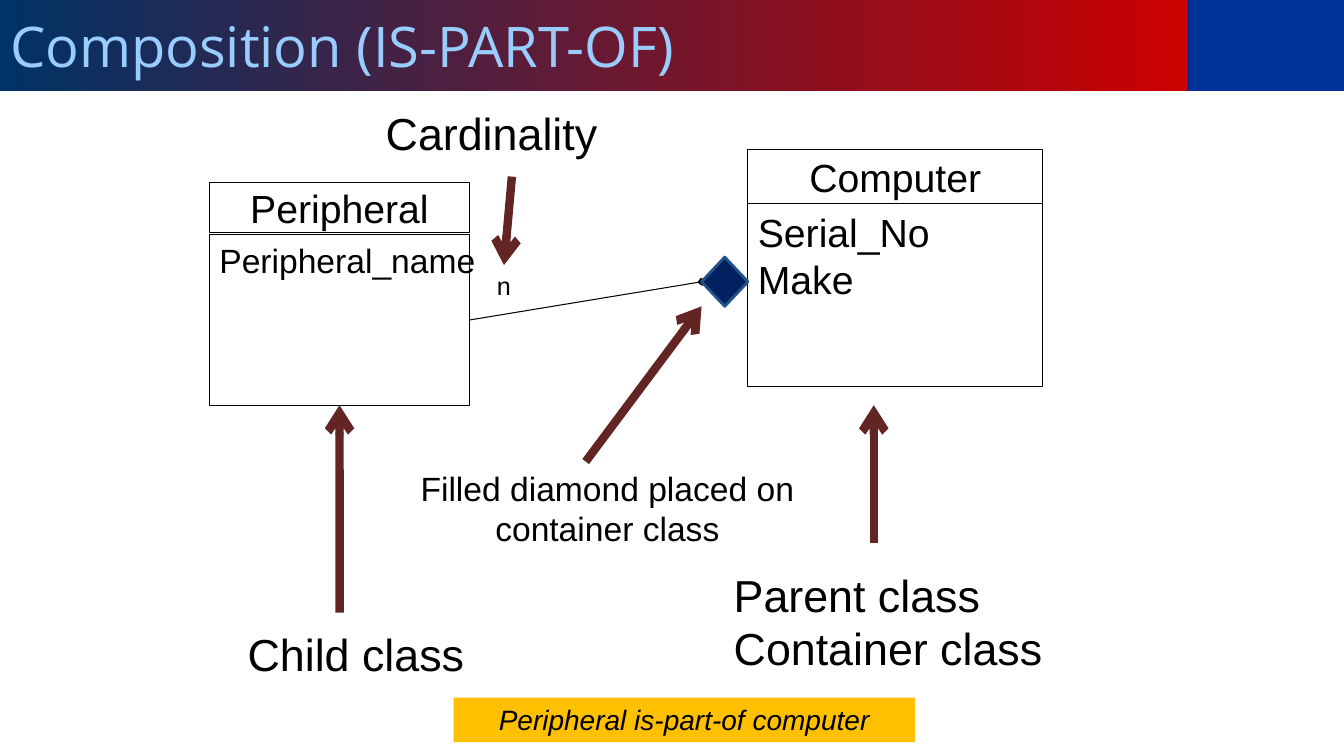
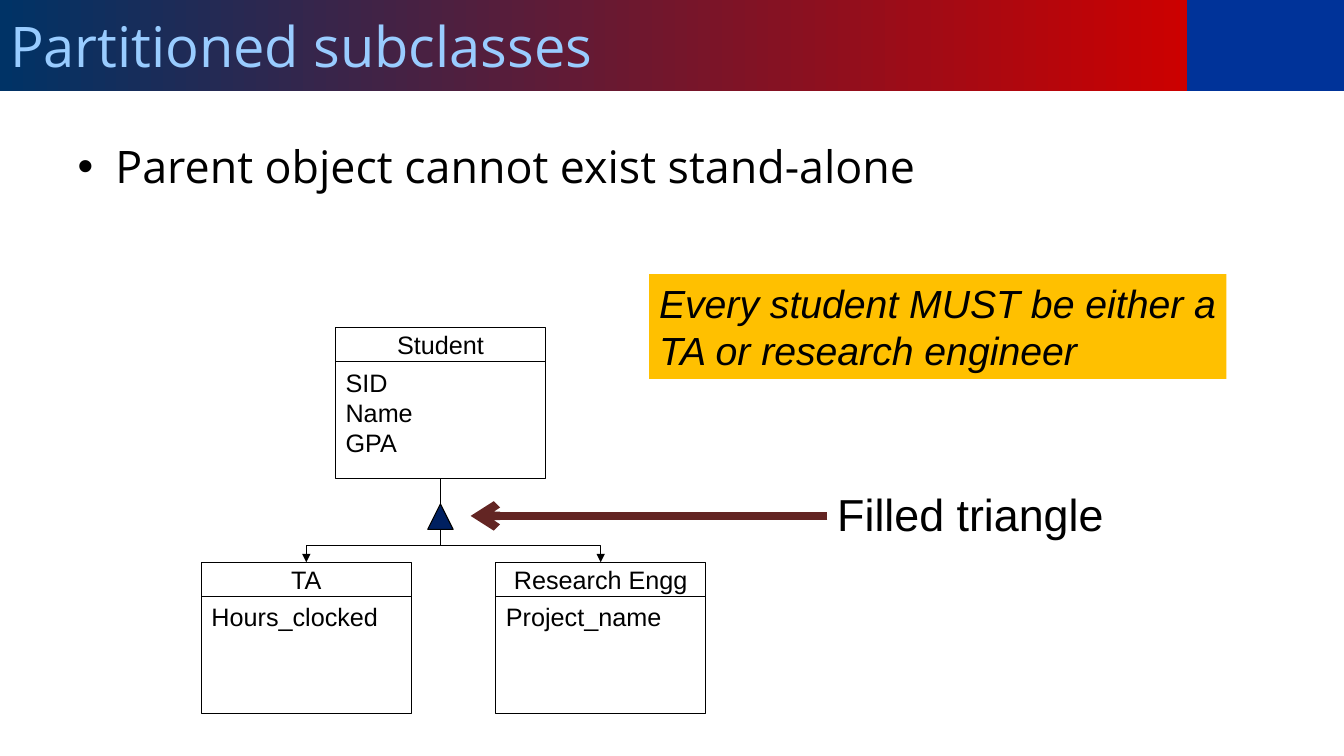
"""Build two slides on composition and partitioned subclasses in class diagrams."""
from pptx import Presentation
from pptx.dml.color import RGBColor
from pptx.enum.shapes import MSO_CONNECTOR as Link, MSO_SHAPE as Preset
from pptx.enum.text import MSO_ANCHOR as Anchor, MSO_AUTO_SIZE as AutoSize, PP_ALIGN as Align
from pptx.oxml.ns import qn
from pptx.util import Cm, Pt
from lxml.etree import SubElement

COLORS = {
    "ink": "000000",
    "paper": "FFFFFF",
    "title": "99CCFF",
    "band_start": "003366",
    "band_end": "CC0000",
    "corner": "003399",
    "marker": "002060",
    "marker_line": "23518B",
    "arrow": "632523",
    "highlight": "FFC000",
}
TITLE_FONT, LABEL_FONT = "Open Sans", "Arial"
PAGE_WIDTH, PAGE_HEIGHT = 33.87, 19.05
BAND_WIDTH, BAND_HEIGHT = 29.92, 2.29
TOP, LEFT, BOTTOM, RIGHT = range(4)


def color(name):
    return RGBColor.from_string(COLORS[name])


def place(shape, box):
    shape.left, shape.top, shape.width, shape.height = (Cm(length) for length in box)


def write(frame, lines, size, font=LABEL_FONT, ink="ink", align=Align.LEFT,
          anchor=Anchor.TOP, wrap=False, italic=None):
    frame.auto_size = AutoSize.NONE
    frame.word_wrap = wrap
    frame.vertical_anchor = anchor
    for number, line in enumerate(lines):
        para = frame.add_paragraph() if number else frame.paragraphs[0]
        para.alignment = align
        span = para.add_run()
        span.text = line
        span.font.name, span.font.size, span.font.italic = font, Pt(size), italic
        span.font.color.rgb = color(ink)


def add_block(page, preset, box, fill, line=None, weight=0.75):
    block = page.shapes.add_shape(preset, *(Cm(length) for length in box))
    block.shadow.inherit = False
    block.fill.solid()
    block.fill.fore_color.rgb = color(fill)
    if line:
        block.line.color.rgb = color(line)
        block.line.width = Pt(weight)
    else:
        block.line.fill.background()
    return block


def add_label(page, box, lines, size, **style):
    label = page.shapes.add_textbox(*(Cm(length) for length in box))
    write(label.text_frame, lines, size, **style)
    return label


def add_highlight(page, box, line, size, align=Align.LEFT):
    block = add_block(page, Preset.RECTANGLE, box, "highlight")
    write(block.text_frame, [line], size, align=align, wrap=True, italic=True)


def add_class_box(page, left, top, width, heights, name, attributes, sizes, gap=0):
    """Draw a class as a name part above an attribute part, and return the latter."""
    head_height, body_height = heights
    head_size, body_size = sizes
    head = add_block(page, Preset.RECTANGLE, (left, top, width, head_height), "paper", "ink")
    write(head.text_frame, [name], head_size, align=Align.CENTER, anchor=Anchor.MIDDLE)
    body_box = (left, top + head_height + gap, width, body_height)
    body = add_block(page, Preset.RECTANGLE, body_box, "paper", "ink")
    write(body.text_frame, attributes, body_size)
    return body


def style_line(connector, ink, weight, head=None, tail=None):
    connector.line.color.rgb = color(ink)
    connector.line.width = Pt(weight)
    outline = connector.get_or_add_ln()
    for tag, kind in (("a:headEnd", head), ("a:tailEnd", tail)):
        if kind:
            SubElement(outline, qn(tag)).set("type", kind)
    SubElement(connector.element.spPr, qn("a:effectLst"))


def add_line(page, start, end, start_joint=None, end_joint=None, ink="ink", weight=0.75,
             head=None, tail=None):
    """Draw a straight line between points, each replaced by its joint if there is one."""
    connector = page.shapes.add_connector(
        Link.STRAIGHT, *(Cm(length) for length in (*start, *end)))
    if start_joint:
        connector.begin_connect(*start_joint)
    if end_joint:
        connector.end_connect(*end_joint)
    style_line(connector, ink, weight, head, tail)


def add_arrow(page, start, end, **joints):
    add_line(page, start, end, ink="arrow", weight=6, tail="arrow", **joints)


def add_branch(page, start, end):
    """Draw an elbow that leaves downwards, as a turned horizontal elbow."""
    (start_x, start_y), (end_x, end_y) = start, end
    drop, reach = end_y - start_y, abs(end_x - start_x)
    middle_x, middle_y = (start_x + end_x) / 2, (start_y + end_y) / 2
    rightward = end_x > start_x
    half = drop / 2 if rightward else -drop / 2
    connector = page.shapes.add_connector(
        Link.ELBOW, Cm(middle_x + half), Cm(middle_y - reach / 2),
        Cm(middle_x - half), Cm(middle_y + reach / 2))
    turn = 270 if rightward else 90
    connector.element.spPr.find(qn("a:xfrm")).set("rot", str(turn * 60000))
    style_line(connector, "ink", 0.75, tail="triangle")


def add_page(deck, layout, heading):
    page = deck.slides.add_slide(deck.slide_layouts[layout])
    title = page.shapes.title
    place(title, (0, 0, BAND_WIDTH, BAND_HEIGHT))
    title.fill.gradient()
    title.fill.gradient_angle = 0
    for stop, position, name in zip(title.fill.gradient_stops, (0, 1), ("band_start", "band_end")):
        stop.position = position
        stop.color.rgb = color(name)
    write(title.text_frame, [heading], 40, TITLE_FONT, "title", anchor=Anchor.MIDDLE, wrap=True)
    return page


def add_corner_to_master(deck, page):
    """Put the blue corner of the title band on the slide master."""
    box = (BAND_WIDTH, 0, PAGE_WIDTH - BAND_WIDTH, BAND_HEIGHT)
    corner = add_block(page, Preset.RECTANGLE, box, "corner")
    deck.slide_master.shapes.element.append(corner.element)


def draw_composition(page):
    add_class_box(page, 18.85, 3.76, 7.42, (1.37, 4.62), "Computer",
                  ["Serial_No", "Make"], (28, 28))
    peripheral = add_class_box(page, 5.28, 4.6, 6.55, (1.27, 4.29), "Peripheral",
                               ["Peripheral_name"], (28, 24), gap=0.05)
    diamond = add_block(page, Preset.DIAMOND, (17.68, 6.48, 1.17, 1.24),
                        "marker", "marker_line", 2)
    add_line(page, (17.68, 7.1), (11.83, 8.07), (diamond, LEFT), (peripheral, RIGHT),
             head="diamond")
    page.shapes.element.append(diamond.element)

    count = add_label(page, (12.27, 6.68, 0.86, 1.02), ["n"], 18)
    add_label(page, (9.47, 2.54, 5.89, 1.63), ["Cardinality"], 32)
    add_label(page, (5.99, 15.67, 6.02, 1.63), ["Child class"], 32)
    add_label(page, (18.24, 14.17, 8.36, 3), ["Parent class", "Container class"], 32)
    add_label(page, (9.02, 11.66, 12.57, 2.31), ["Filled diamond placed on container class"],
              24, align=Align.CENTER, wrap=True)

    add_arrow(page, (12.9, 4.45), (12.7, 6.68), end_joint=(count, TOP))
    add_arrow(page, (8.56, 15.44), (8.56, 10.21), end_joint=(peripheral, BOTTOM))
    add_arrow(page, (22.02, 13.69), (22.02, 10.21))
    add_arrow(page, (14.76, 11.63), (17.68, 7.72))
    add_highlight(page, (11.43, 17.58, 11.63, 1.12), "Peripheral is-part-of computer",
                  20, Align.CENTER)


def draw_hierarchy(page, left, top):
    """Draw the parent class above its two subclasses from the given corner."""
    width, heights, sizes = 5.28, (0.86, 2.95), (18, 18)
    parent_left, child_top = left + 3.38, top + 5.91
    middle = parent_left + width / 2
    triangle_top, side = top + 4.44, 0.64
    parent = add_class_box(page, parent_left, top, width, heights, "Student",
                           ["SID", "Name", "GPA"], sizes)
    triangle = add_block(page, Preset.ISOSCELES_TRIANGLE,
                         (middle - side / 2, triangle_top, side, side), "marker", "ink")
    add_line(page, (middle, top + sum(heights)), (middle, triangle_top),
             (parent, BOTTOM), (triangle, TOP))
    children = (("TA", "Hours_clocked"), ("Research Engg", "Project_name"))
    for number, (name, attribute) in enumerate(children):
        child_left = left + number * 7.42
        add_class_box(page, child_left, child_top, width, heights, name, [attribute], sizes)
        add_branch(page, (middle, triangle_top + side), (child_left + width / 2, child_top))


def draw_partition(page):
    body = page.placeholders[1]
    place(body, (1.7, 3.38, 30.48, 13.64))
    write(body.text_frame, ["Parent object cannot exist stand-alone"], 32, TITLE_FONT, wrap=True)
    draw_hierarchy(page, 5.08, 8.26)
    label = add_label(page, (20.85, 12.14, 7.29, 1.72), ["Filled triangle"], 32)
    add_arrow(page, (20.85, 13), (11.86, 13), start_joint=(label, LEFT))
    add_highlight(page, (16.36, 6.91, 14.55, 2.64),
                  "Every student MUST be either a TA or research engineer", 28)


def main():
    deck = Presentation()
    deck.slide_width, deck.slide_height = Cm(PAGE_WIDTH), Cm(PAGE_HEIGHT)
    composition = add_page(deck, 5, "Composition (IS-PART-OF)")
    add_corner_to_master(deck, composition)
    draw_composition(composition)
    draw_partition(add_page(deck, 1, "Partitioned subclasses"))
    deck.save("out.pptx")


if __name__ == "__main__":
    main()
